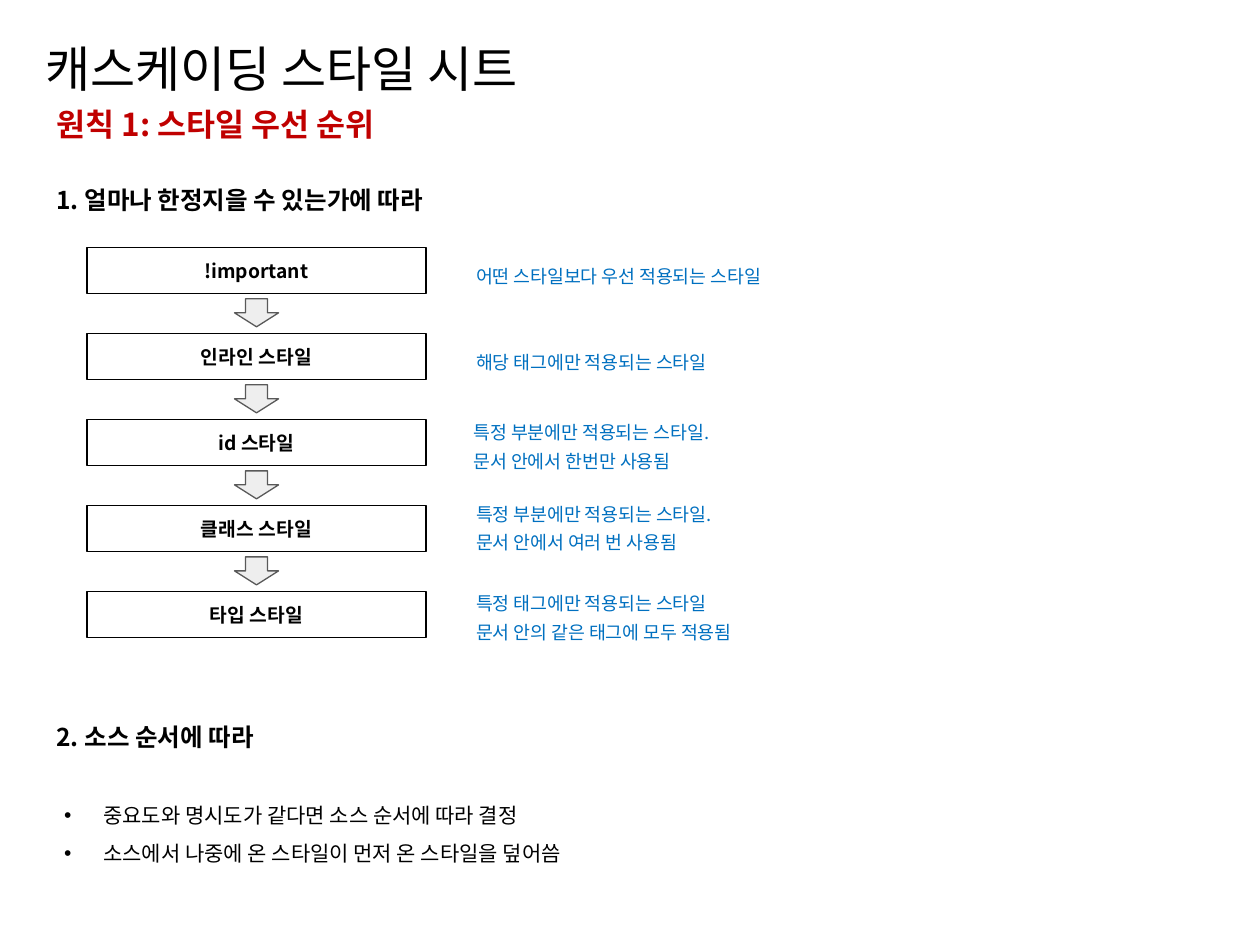
import copy
import dataclasses
import pptx
import pptx.dml.color
import pptx.enum.shapes
import pptx.enum.text
import pptx.oxml.ns
import pptx.oxml.xmlchemy
import pptx.util

Pt = pptx.util.Pt
Shape = pptx.enum.shapes.MSO_SHAPE
Align = pptx.enum.text.PP_ALIGN
Anchor = pptx.enum.text.MSO_ANCHOR
Fit = pptx.enum.text.MSO_AUTO_SIZE
qn = pptx.oxml.ns.qn


@dataclasses.dataclass(frozen=True)
class Theme:
    """Hold the colours, fonts and type sizes of the slide."""
    black: str = "000000"
    red: str = "C00000"
    blue: str = "0070C0"
    grey: str = "595959"
    pale: str = "EEEEEE"
    latin: str = "Arial"
    hangul: str = "Noto Sans CJK KR"
    title: float = 28
    topic: float = 18
    head: float = 14
    body: float = 12
    step: float = 11
    note: float = 10.5


THEME = Theme()
STEPS = [
    ("!important", ["어떤 스타일보다 우선 적용되는 스타일"], 265, 141.8, 347.8),
    ("인라인 스타일", ["해당 태그에만 적용되는 스타일"], 265, 190.8, 312.5),
    ("id 스타일", ["특정 부분에만 적용되는 스타일. \v문서 안에서 한번만 사용됨"], 263.5, 233.3, 312.5),
    ("클래스 스타일", ["특정 부분에만 적용되는 스타일. \v문서 안에서 여러 번 사용됨"], 265, 280.1, 312.5),
    ("타입 스타일", ["특정 태그에만 적용되는 스타일", "문서 안의 같은 태그에 모두 적용됨"], 265, 331.2, 312.5),
]


def rgb(code):
    """Turn a hex code into a colour."""
    return pptx.dml.color.RGBColor.from_string(code)


def node(tag, **attrs):
    """Make a drawing element with its attributes."""
    item = pptx.oxml.xmlchemy.OxmlElement(tag)
    for name, value in attrs.items():
        item.set(name, value)
    return item


def apply(item, form):
    """Set each format value on the item."""
    for name, value in form.items():
        setattr(item, name, value)


def style(para, size, color, bold, face):
    """Format the runs and line breaks of a paragraph."""
    for run in para.runs:
        apply(run.font, {"size": Pt(size), "bold": bold, "name": face})
        run.font.color.rgb = rgb(color)
        props = run._r.get_or_add_rPr()
        props.find(qn("a:latin")).addnext(node("a:ea", typeface=THEME.hangul))
        for gap in para._p.findall(qn("a:br")):
            if gap.find(qn("a:rPr")) is None:
                gap.insert(0, copy.deepcopy(props))


def bullet(para):
    """Give a paragraph a hanging round bullet."""
    props = para._p.get_or_add_pPr()
    props.set("marL", str(int(Pt(22.5))))
    props.set("indent", str(-int(Pt(22.5))))
    tint = node("a:buClr")
    tint.append(node("a:srgbClr", val=THEME.black))
    props.extend([tint, node("a:buFont", typeface=THEME.latin), node("a:buChar", char="•")])


def write(frame, lines, size, color, bold=False, face=THEME.hangul, dots=False, **form):
    """Fill a text frame with one paragraph per line."""
    for index, line in enumerate(lines):
        para = frame.add_paragraph() if index else frame.paragraphs[0]
        para.text = line
        apply(para, form)
        if dots:
            bullet(para)
        style(para, size, color, bold, face)


def label(slide, area, lines, size, color, fit=Fit.SHAPE_TO_FIT_TEXT, anchor=Anchor.TOP, **form):
    """Add a wrapped text box."""
    frame = slide.shapes.add_textbox(*map(Pt, area)).text_frame
    apply(frame, {"word_wrap": True, "auto_size": fit, "vertical_anchor": anchor})
    write(frame, lines, size, color, **form)


def block(slide, kind, area, edge, fill=None):
    """Add a flat outlined shape."""
    shape = slide.shapes.add_shape(kind, *map(Pt, area))
    shape.shadow.inherit = False
    if fill:
        shape.fill.solid()
        shape.fill.fore_color.rgb = rgb(fill)
    else:
        shape.fill.background()
    shape.line.color.rgb = rgb(edge)
    shape.line.width = Pt(0.75)
    return shape


def ladder(slide):
    """Draw the priority steps, their arrows and their notes."""
    for index, (name, notes, left, top, width) in enumerate(STEPS):
        level = 141.6 + 49.15 * index
        frame = block(slide, Shape.RECTANGLE, (49.7, level, 193.7, 26), THEME.black).text_frame
        apply(frame, {"word_wrap": True, "vertical_anchor": Anchor.MIDDLE})
        write(frame, [name], THEME.step, THEME.black, bold=True, alignment=Align.CENTER)
        if index < len(STEPS) - 1:
            area = (134, level + 29.2, 25.2, 16)
            block(slide, Shape.DOWN_ARROW, area, THEME.grey, THEME.pale)
        tall = index > 1
        area = (left, top, width, 36.7 if tall else 20)
        label(slide, area, notes, THEME.note, THEME.blue, line_spacing=1.3 if tall else 1.5)


def main():
    """Build and save the slide."""
    deck = pptx.Presentation()
    apply(deck, {"slide_width": Pt(720), "slide_height": Pt(540)})
    slide = deck.slides.add_slide(deck.slide_layouts[6])
    label(slide, (18.7, 10.8, 503.3, 59.8), ["캐스케이딩 스타일 시트"], THEME.title, THEME.black,
          Fit.NONE, Anchor.MIDDLE, face=THEME.latin, line_spacing=0.9)
    label(slide, (25.2, 56.2, 296, 29), ["원칙 1: 스타일 우선 순위"], THEME.topic, THEME.red, bold=True)
    label(slide, (25.2, 102.2, 421, 24.2), ["1. 얼마나 한정지을 수 있는가에 따라"],
          THEME.head, THEME.black, bold=True)
    ladder(slide)
    label(slide, (25.2, 409, 193, 24.2), ["2. 소스 순서에 따라"], THEME.head, THEME.black, bold=True)
    label(slide, (29.5, 447.8, 428.4, 48.2),
          ["중요도와 명시도가 같다면 소스 순서에 따라 결정", "소스에서 나중에 온 스타일이 먼저 온 스타일을 덮어씀"],
          THEME.body, THEME.black, Fit.NONE, dots=True, line_spacing=1.5)
    deck.save("out.pptx")


if __name__ == "__main__":
    main()
